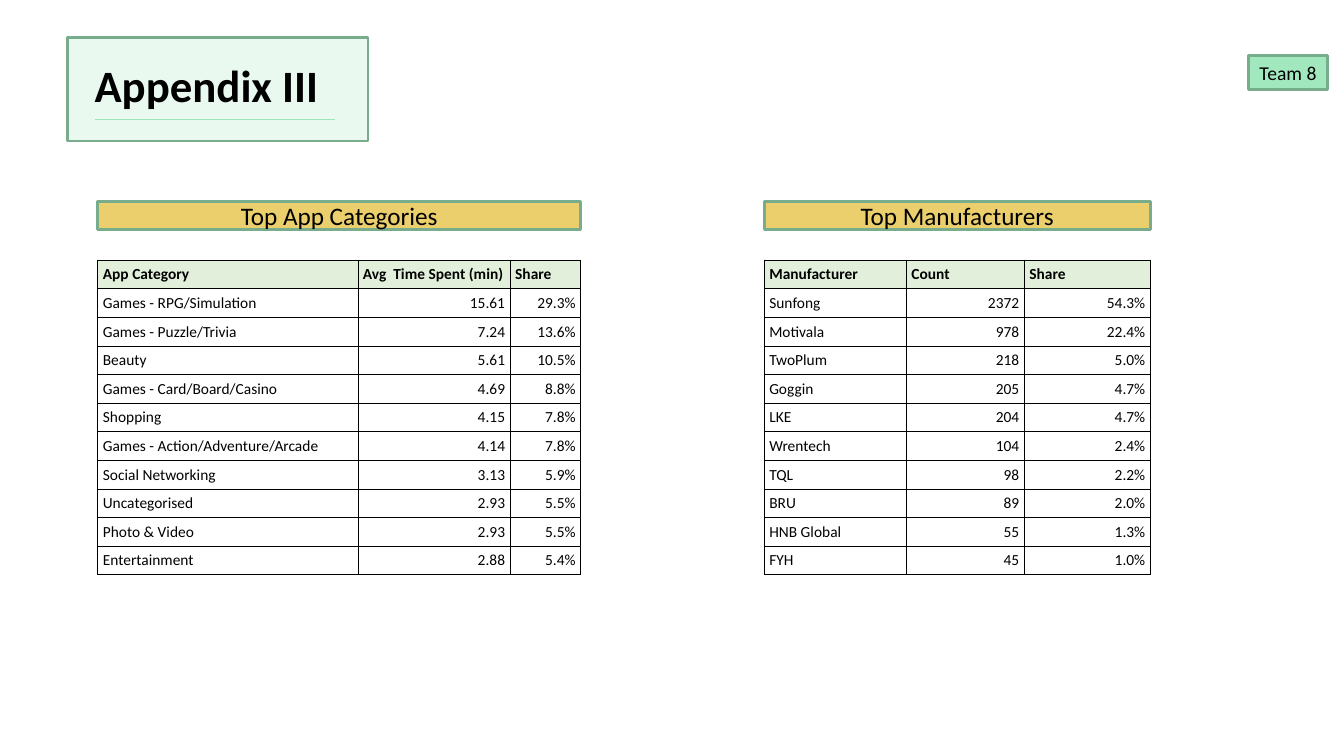
"""Build the appendix slide with two ranked tables, at 100 px to the inch."""
from dataclasses import dataclass

from lxml import etree
from pptx import Presentation, util as u
from pptx.dml.color import RGBColor
from pptx.enum import shapes, text
from pptx.oxml import ns, parse_xml

PX = 9144
GREEN = "78AC8D"
GOLD = "EACF6C"
BLACK = "000000"
LEFT, MID, RIGHT = text.PP_ALIGN.LEFT, text.PP_ALIGN.CENTER, text.PP_ALIGN.RIGHT


@dataclass
class Box:
    x: int
    y: int
    w: int
    h: int
    fill: str
    words: str = ""
    size: int = 18


@dataclass
class Panel:
    title: str
    x: int
    cols: list[int]
    rows: list[tuple[str, str, str]]


PANELS = [
    Panel("Top Manufacturers", 758, [141, 117, 125], [
        ("Manufacturer", "Count", "Share"),
        ("Sunfong", "2372", "54.3%"),
        ("Motivala", "978", "22.4%"),
        ("TwoPlum", "218", "5.0%"),
        ("Goggin", "205", "4.7%"),
        ("LKE", "204", "4.7%"),
        ("Wrentech", "104", "2.4%"),
        ("TQL", "98", "2.2%"),
        ("BRU", "89", "2.0%"),
        ("HNB Global", "55", "1.3%"),
        ("FYH", "45", "1.0%"),
    ]),
    Panel("Top App Categories", 97, [258, 151, 70], [
        ("App Category", "Avg  Time Spent (min)", "Share"),
        ("Games - RPG/Simulation", "15.61", "29.3%"),
        ("Games - Puzzle/Trivia", "7.24", "13.6%"),
        ("Beauty", "5.61", "10.5%"),
        ("Games - Card/Board/Casino", "4.69", "8.8%"),
        ("Shopping", "4.15", "7.8%"),
        ("Games - Action/Adventure/Arcade", "4.14", "7.8%"),
        ("Social Networking", "3.13", "5.9%"),
        ("Uncategorised", "2.93", "5.5%"),
        ("Photo & Video", "2.93", "5.5%"),
        ("Entertainment", "2.88", "5.4%"),
    ]),
]


def px(*vals: int) -> list[int]:
    """Turn px into EMU."""
    return [u.Emu(v * PX) for v in vals]


def tint(fmt, hue: str) -> None:
    """Give a fill a solid colour."""
    fmt.solid()
    fmt.fore_color.rgb = RGBColor.from_string(hue)


def write(frame, words: str, size: int, bold: bool = False, align=LEFT) -> None:
    """Set one styled paragraph."""
    frame.text = words
    para = frame.paragraphs[0]
    para.alignment = align
    for run in para.runs:
        font = run.font
        font.name, font.size, font.bold = "Calibri", u.Pt(size), bold
        tint(font.fill, BLACK)


def draw_box(slide, box: Box):
    """Draw a green-edged rectangle with centred text."""
    rect = slide.shapes.add_shape(
        shapes.MSO_SHAPE.RECTANGLE, *px(box.x, box.y, box.w, box.h))
    rect.shadow.inherit = False
    tint(rect.fill, box.fill)
    tint(rect.line.fill, GREEN)
    rect.line.width = u.Pt(2)
    if box.words:
        rect.text_frame.vertical_anchor = text.MSO_ANCHOR.MIDDLE
        write(rect.text_frame, box.words, box.size, align=MID)
    return rect


def draw_head(slide) -> None:
    """Draw the title, its pale box and its rule."""
    rect = draw_box(slide, Box(67, 37, 298, 103, "C7F1D8"))
    hue = rect.fill._xPr.find(".//" + ns.qn("a:srgbClr"))
    etree.SubElement(hue, ns.qn("a:alpha"), val="39000")
    label = slide.shapes.add_textbox(*px(84, 52, 278, 64))
    label.text_frame.word_wrap = False
    write(label.text_frame, "Appendix III", 32, bold=True)
    rule = slide.shapes.add_connector(
        shapes.MSO_CONNECTOR.STRAIGHT, *px(94, 119, 332, 119))
    tint(rule.line.fill, "9DE5B9")
    rule.line.width = u.Pt(0.75)
    etree.SubElement(rule._element.spPr, ns.qn("a:effectLst"))


def edge(cell) -> None:
    """Put a thin black border round a cell."""
    props = cell._tc.get_or_add_tcPr()
    for i, side in enumerate("LRTB"):
        props.insert(i, parse_xml(
            f'<a:ln{side} {ns.nsdecls("a")} w="6350"><a:solidFill>'
            f'<a:srgbClr val="{BLACK}"/></a:solidFill></a:ln{side}>'))


def draw_panel(slide, panel: Panel) -> None:
    """Draw a table and the banner above it."""
    wide = sum(panel.cols)
    grid = slide.shapes.add_table(
        len(panel.rows), len(panel.cols), *px(panel.x, 258, wide, 312)).table
    grid.first_row = grid.horz_banding = False
    for col, width in zip(grid.columns, px(*panel.cols)):
        col.width = width
    for r, row in enumerate(panel.rows):
        for c, words in enumerate(row):
            cell = grid.cell(r, c)
            cell.margin_left, cell.margin_right, cell.margin_top, cell.margin_bottom = px(5, 5, 5, 5)
            cell.vertical_anchor = text.MSO_ANCHOR.BOTTOM
            write(cell.text_frame, words, 11, r == 0, RIGHT if r and c else LEFT)
            if r == 0:
                tint(cell.fill, "E2EFDA")
            else:
                cell.fill.background()
            edge(cell)
    draw_box(slide, Box(panel.x, 200, wide, 28, GOLD, panel.title))


def main() -> None:
    """Build and save the deck."""
    deck = Presentation()
    deck.slide_width, deck.slide_height = px(1333, 750)
    slide = deck.slides.add_slide(deck.slide_layouts[6])
    draw_box(slide, Box(1238, 55, 79, 34, "A2E8BE", "Team 8", 14))
    draw_head(slide)
    for panel in PANELS:
        draw_panel(slide, panel)
    deck.save("out.pptx")


if __name__ == "__main__":
    main()
